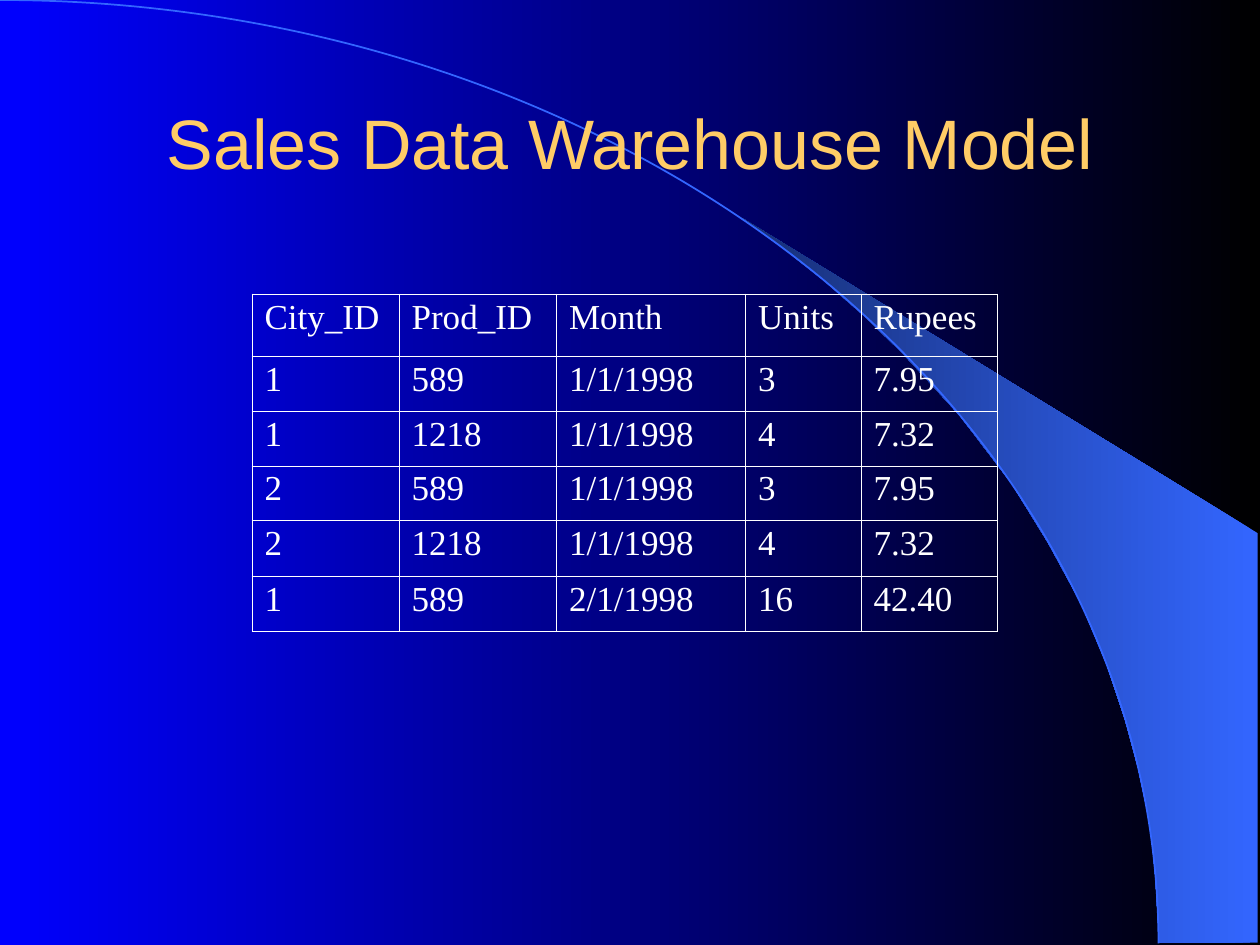
from dataclasses import dataclass

from lxml.etree import SubElement
from pptx import Presentation
from pptx.dml.color import RGBColor
from pptx.enum.shapes import MSO_SHAPE as Shape
from pptx.enum.text import MSO_ANCHOR as Anchor, MSO_AUTO_SIZE as AutoSize, PP_ALIGN as Align
from pptx.oxml.ns import qn
from pptx.util import Pt


@dataclass(frozen=True)
class Theme:
    black: RGBColor = RGBColor.from_string("000000")
    blue: RGBColor = RGBColor.from_string("0000FF")
    beam: RGBColor = RGBColor.from_string("3366FF")
    beam_dark: RGBColor = RGBColor.from_string("172F75")
    gold: RGBColor = RGBColor.from_string("FFCC66")
    white: RGBColor = RGBColor.from_string("FFFFFF")
    title_font: str = "Arial"
    body_font: str = "Times New Roman"
    title_size: float = 40
    body_size: float = 20
    outer_border: float = 0.5
    inner_border: float = 0.23


INSETS = {"margin_left": Pt(7.2), "margin_right": Pt(7.2),
          "margin_top": Pt(3.6), "margin_bottom": Pt(3.6)}

BEAM_OUTLINE = [
    (662.4, 538.6), (718.6, 538.6), (718.6, 304.6), (424.1, 124.6), (449.3, 143.3),
    (470.2, 159.8), (493.2, 180), (515.5, 201.6), (548.6, 237.6), (578.2, 276.5),
    (599, 310.3), (617.8, 344.9), (632.2, 379.4), (643, 411.8), (650.2, 438.5),
    (657.4, 472.3), (660.2, 501.1),
]

SALES = [
    ("City_ID", "Prod_ID", "Month", "Units", "Rupees"),
    ("1", "589", "1/1/1998", "3", "7.95"),
    ("1", "1218", "1/1/1998", "4", "7.32"),
    ("2", "589", "1/1/1998", "3", "7.95"),
    ("2", "1218", "1/1/1998", "4", "7.32"),
    ("1", "589", "2/1/1998", "16", "42.40"),
]
COLUMN_WIDTHS = [84, 90, 108, 66, 78]
ROW_HEIGHTS = [35.4, 31.4, 31.4, 31.4, 32, 31.4]


def apply(target, values):
    for name, value in values.items():
        setattr(target, name, value)


class SlideBuilder:
    """Draws elements on one slide in the theme's style; lengths are in points."""

    def __init__(self, slide, theme):
        self.slide = slide
        self.theme = theme

    def gradient(self, fill, right_color, left_color):
        fill.gradient()
        fill.gradient_angle = 180
        for stop, color in zip(fill.gradient_stops, (right_color, left_color)):
            stop.color.rgb = color

    def background(self):
        self.gradient(self.slide.background.fill, self.theme.black, self.theme.blue)

    def beam(self, outline):
        start, *others = [(Pt(x), Pt(y)) for x, y in outline]
        builder = self.slide.shapes.build_freeform(*start)
        builder.add_line_segments(others, close=True)
        shape = builder.convert_to_shape()
        shape.shadow.inherit = False
        shape.line.fill.background()
        self.gradient(shape.fill, self.theme.beam, self.theme.beam_dark)

    def arc(self, left, top, width, height):
        shape = self.slide.shapes.add_shape(Shape.ARC, Pt(left), Pt(top), Pt(width), Pt(height))
        shape.shadow.inherit = False
        shape.fill.background()
        shape.line.color.rgb = self.theme.beam
        shape.line.width = Pt(1)

    def text(self, paragraph, text, font, size, color, **layout):
        paragraph.text = text
        apply(paragraph, layout)
        apply(paragraph.font, {"name": font, "size": Pt(size), "bold": False})
        paragraph.font.color.rgb = color

    def title(self, text, left, top, width, height):
        """Fills the title placeholder and brings it in front of what is drawn so far."""
        title = self.slide.shapes.title
        self.slide.shapes._spTree.append(title._element)
        apply(title, {"left": Pt(left), "top": Pt(top), "width": Pt(width), "height": Pt(height)})
        apply(title.text_frame, {**INSETS, "word_wrap": True, "auto_size": AutoSize.NONE,
                                 "vertical_anchor": Anchor.MIDDLE})
        self.text(title.text_frame.paragraphs[0], text, self.theme.title_font,
                  self.theme.title_size, self.theme.gold, alignment=Align.CENTER)

    def borders(self, cell, outer_sides):
        """Gives the four sides a line, heavier on the table's outer edge."""
        properties = cell._tc.get_or_add_tcPr()
        for side, is_outer in outer_sides.items():
            width = self.theme.outer_border if is_outer else self.theme.inner_border
            line = SubElement(properties, qn(f"a:ln{side}"), w=str(Pt(width)))
            fill = SubElement(line, qn("a:solidFill"))
            SubElement(fill, qn("a:srgbClr"), val=str(self.theme.white))

    def table(self, rows, left, top, widths, heights):
        last_row, last_column = len(rows) - 1, len(widths) - 1
        table = self.slide.shapes.add_table(
            len(rows), len(widths), Pt(left), Pt(top), Pt(sum(widths)), Pt(sum(heights))).table
        apply(table, {"first_row": False, "horz_banding": False})
        for column, width in zip(table.columns, widths):
            column.width = Pt(width)
        for row, height in zip(table.rows, heights):
            row.height = Pt(height)
        for i, values in enumerate(rows):
            for j, value in enumerate(values):
                cell = table.cell(i, j)
                apply(cell, {**INSETS, "vertical_anchor": Anchor.TOP})
                self.borders(cell, {"L": j == 0, "R": j == last_column,
                                    "T": i == 0, "B": i == last_row})
                cell.fill.background()
                self.text(cell.text_frame.paragraphs[0], value, self.theme.body_font,
                          self.theme.body_size, self.theme.white, line_spacing=0.93)


def main():
    presentation = Presentation()
    apply(presentation, {"slide_width": Pt(720), "slide_height": Pt(540)})
    title_only = presentation.slide_layouts[5]
    builder = SlideBuilder(presentation.slides.add_slide(title_only), Theme())
    builder.background()
    builder.beam(BEAM_OUTLINE)
    builder.arc(-662.4, 0, 1324.4, 1078)
    builder.title("Sales Data Warehouse Model", 54, 48, 612, 66)
    builder.table(SALES, 144, 168, COLUMN_WIDTHS, ROW_HEIGHTS)
    presentation.save("out.pptx")


if __name__ == "__main__":
    main()
